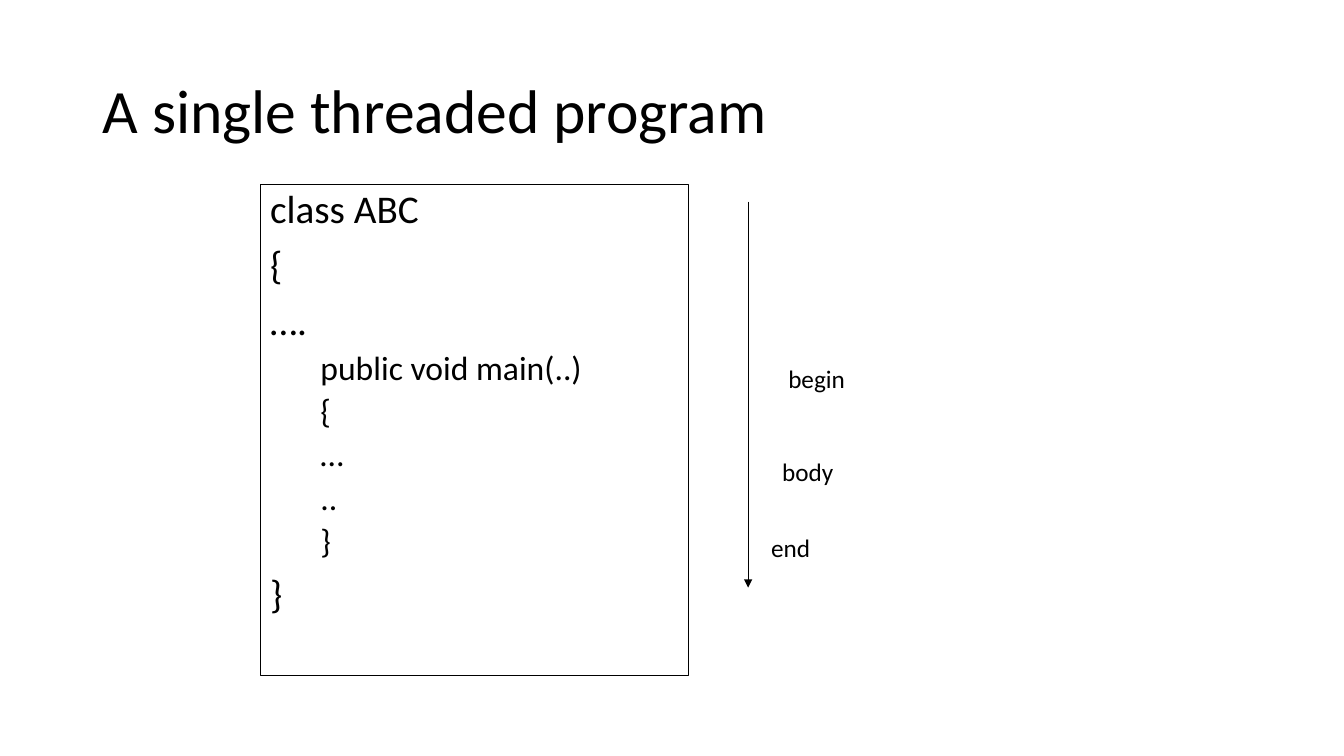
import pptx
import pptx.dml.color
import pptx.enum.shapes
import pptx.enum.text
import pptx.oxml.ns
import pptx.util
from lxml import etree
from pptx.util import Inches

COLORS = {"ink": "000000", "paper": "FFFFFF"}
FONT = "Calibri"
LEVELS = {
    0: {"size": 28, "margin": 0.25, "before": 10},
    1: {"size": 24, "margin": 0.75, "before": 5},
}
CODE_LINES = [
    ("class ABC", 0),
    ("{", 0),
    ("….", 0),
    ("public void main(..)", 1),
    ("{", 1),
    ("…", 1),
    ("..", 1),
    ("}", 1),
    ("}", 0),
]
PHASES = [
    ("begin", 7.72, 3.56, 0.77),
    ("body", 7.66, 4.48, 0.72),
    ("end", 7.55, 5.23, 0.59),
]


def rgb(name):
    """Return the named colour."""
    return pptx.dml.color.RGBColor.from_string(COLORS[name])


def set_all(target, values):
    """Set each attribute in values on target."""
    for attribute, value in values.items():
        setattr(target, attribute, value)


def write_line(paragraph, text, size, **layout):
    """Write one styled line of text into a paragraph."""
    set_all(paragraph, {"alignment": pptx.enum.text.PP_ALIGN.LEFT, **layout})
    run = paragraph.add_run()
    run.text = text
    set_all(run.font, {"name": FONT, "size": pptx.util.Pt(size)})
    run.font.color.rgb = rgb("ink")


def style_line(line):
    """Give an outline or connector its thin dark stroke."""
    line.color.rgb = rgb("ink")
    line.width = pptx.util.Pt(0.75)


def add_title(slide, text):
    """Add the slide heading."""
    heading = slide.shapes.add_textbox(Inches(0.92), Inches(0.4), Inches(11.5), Inches(1.45))
    frame = heading.text_frame
    set_all(frame, {"word_wrap": True, "vertical_anchor": pptx.enum.text.MSO_ANCHOR.MIDDLE})
    write_line(frame.paragraphs[0], text, 44, line_spacing=0.9)


def add_code_box(slide, code_lines):
    """Add the outlined box holding the program."""
    box = slide.shapes.add_shape(
        pptx.enum.shapes.MSO_SHAPE.RECTANGLE,
        Inches(2.58), Inches(1.83), Inches(4.25), Inches(4.87),
    )
    box.shadow.inherit = False
    box.fill.background()
    style_line(box.line)
    frame = box.text_frame
    set_all(frame, {"word_wrap": True, "vertical_anchor": pptx.enum.text.MSO_ANCHOR.TOP})
    for index, (text, level) in enumerate(code_lines):
        look = LEVELS[level]
        paragraph = frame.add_paragraph() if index else frame.paragraphs[0]
        properties = paragraph._p.get_or_add_pPr()
        properties.set("marL", str(Inches(look["margin"])))
        properties.set("indent", str(Inches(-0.25)))
        etree.SubElement(properties, pptx.oxml.ns.qn("a:buNone"))
        before = pptx.util.Pt(look["before"] if index else 0)
        write_line(paragraph, text, look["size"], level=level, line_spacing=0.9, space_before=before)


def add_flow_arrow(slide, x, top, bottom):
    """Add the downward arrow of execution."""
    arrow = slide.shapes.add_connector(
        pptx.enum.shapes.MSO_CONNECTOR.STRAIGHT,
        Inches(x), Inches(top), Inches(x), Inches(bottom),
    )
    style_line(arrow.line)
    stroke = arrow.line._get_or_add_ln()
    etree.SubElement(stroke, pptx.oxml.ns.qn("a:tailEnd"), type="triangle")
    etree.SubElement(arrow._element.spPr, pptx.oxml.ns.qn("a:effectLst"))


def add_phase(slide, text, left, top, width):
    """Add the label of one phase of the run."""
    label = slide.shapes.add_textbox(Inches(left), Inches(top), Inches(width), Inches(0.4))
    frame = label.text_frame
    set_all(frame, {"word_wrap": False, "auto_size": pptx.enum.text.MSO_AUTO_SIZE.SHAPE_TO_FIT_TEXT})
    write_line(frame.paragraphs[0], text, 18)


def main():
    """Build and save the slide."""
    deck = pptx.Presentation()
    set_all(deck, {"slide_width": Inches(13.33), "slide_height": Inches(7.5)})
    slide = deck.slides.add_slide(deck.slide_layouts[6])
    slide.background.fill.solid()
    slide.background.fill.fore_color.rgb = rgb("paper")
    add_title(slide, "A single threaded program")
    add_code_box(slide, CODE_LINES)
    add_flow_arrow(slide, 7.42, 2, 5.83)
    for phase in PHASES:
        add_phase(slide, *phase)
    deck.save("out.pptx")


if __name__ == "__main__":
    main()
